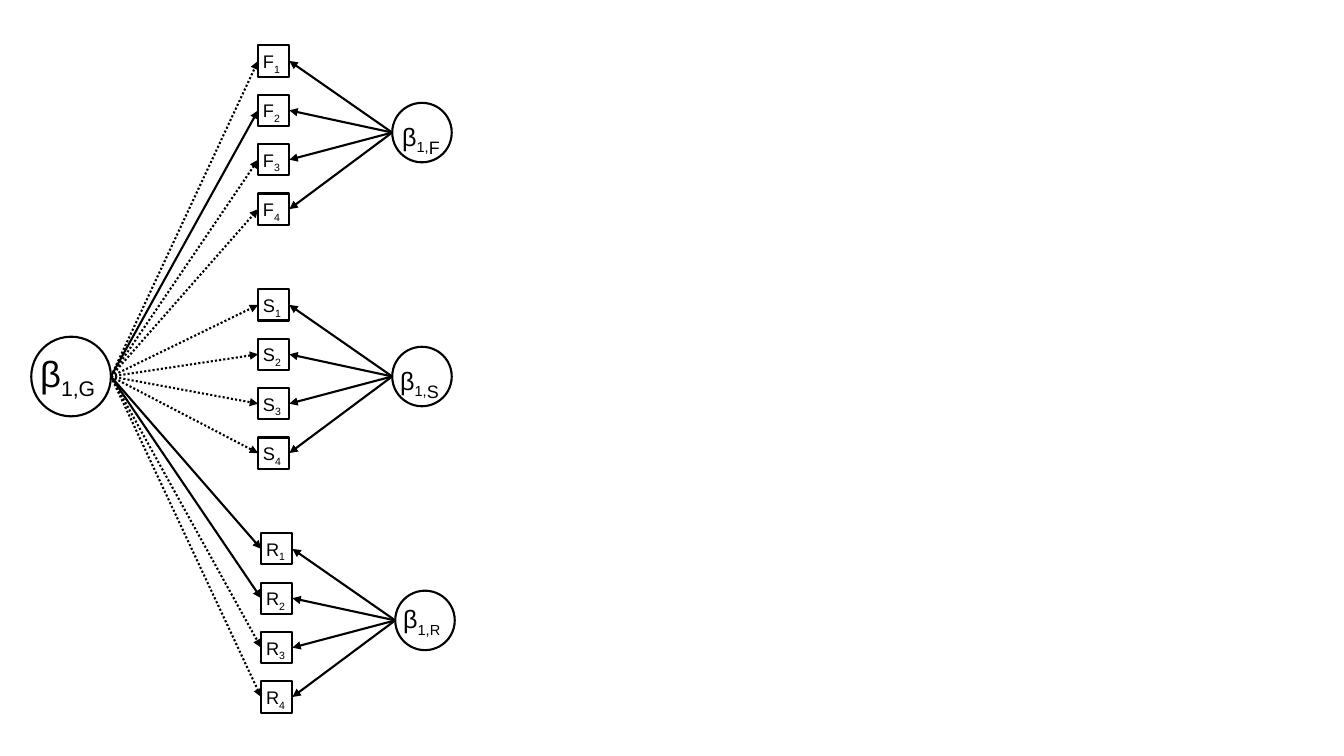
from collections import namedtuple
from dataclasses import dataclass

from lxml.etree import SubElement
from pptx import Presentation
from pptx.dml.color import RGBColor
from pptx.enum.dml import MSO_LINE as Dash
from pptx.enum.shapes import MSO_CONNECTOR as Connector, MSO_SHAPE as Shape
from pptx.enum.text import MSO_AUTO_SIZE as AutoSize
from pptx.oxml.ns import qn
from pptx.util import Inches, Pt


@dataclass(frozen=True)
class Theme:
    ink: RGBColor = RGBColor(0, 0, 0)
    paper: RGBColor = RGBColor(255, 255, 255)
    font: str = "Arial"
    stroke: float = 1.5
    item_size: int = 13
    factor_size: int = 18
    wide_size: int = 22
    general_size: int = 26


THEME = Theme()

# Grid in inches: three groups of four items, one factor beside each group
TOP, GROUP_STEP, ITEM_STEP, ITEMS = 0.45, 2.42, 0.49, 4
ITEM_LEFT, ITEM_SIDE = 2.56, 0.31
FACTOR_LEFT, FACTOR_DROP, FACTOR_SIDE = 3.89, 0.57, 0.59
GENERAL_LEFT, GENERAL_TOP, GENERAL_SIDE = 0.31, 3.34, 0.79

# solid: item numbers tied to the general factor by a solid arrow
Group = namedtuple("Group", "letter shift solid letter_size label_shift label_width")
GROUPS = [
    Group("F", 0, {2}, THEME.wide_size, 0, 0.6),
    Group("S", 0, set(), THEME.wide_size, -0.02, 0.62),
    Group("R", 0.03, {1, 2}, THEME.factor_size, -0.02, 0.6),
]


def item_spot(row, number):
    """Left and top of an item's square."""
    top = TOP + row * GROUP_STEP + (number - 1) * ITEM_STEP
    return ITEM_LEFT + GROUPS[row].shift, top


def factor_spot(row):
    """Left and top of a group factor's circle."""
    return FACTOR_LEFT + GROUPS[row].shift, TOP + row * GROUP_STEP + FACTOR_DROP


def add_node(page, kind, left, top, side):
    node = page.shapes.add_shape(kind, *map(Inches, (left, top, side, side)))
    node.shadow.inherit = False
    node.fill.solid()
    node.fill.fore_color.rgb = THEME.paper
    node.line.color.rgb = THEME.ink
    node.line.width = Pt(THEME.stroke)


def add_arrow(page, start, end, dotted=False):
    arrow = page.shapes.add_connector(Connector.STRAIGHT, *map(Inches, start + end))
    arrow.line.color.rgb = THEME.ink
    arrow.line.width = Pt(THEME.stroke)
    if dotted:
        arrow.line.dash_style = Dash.ROUND_DOT
    properties = arrow._element.spPr
    SubElement(properties.find(qn("a:ln")), qn("a:tailEnd"), type="triangle")
    SubElement(properties, qn("a:effectLst"))


def add_label(page, frame, symbol, size, subscripts, wrap=False):
    """Write a symbol followed by (text, size) subscripts."""
    box = page.shapes.add_textbox(*map(Inches, frame))
    settings = {"word_wrap": wrap, "auto_size": AutoSize.SHAPE_TO_FIT_TEXT}
    for name, value in settings.items():
        setattr(box.text_frame, name, value)
    para = box.text_frame.paragraphs[0]
    for position, (text, points) in enumerate([(symbol, size)] + subscripts):
        span = para.add_run()
        span.text = text
        for name, value in {"name": THEME.font, "size": Pt(points)}.items():
            setattr(span.font, name, value)
        span.font.color.rgb = THEME.ink
        if position:
            span._r.get_or_add_rPr().set("baseline", "-25000")


def add_nodes(page):
    add_node(page, Shape.OVAL, GENERAL_LEFT, GENERAL_TOP, GENERAL_SIDE)
    for row in range(len(GROUPS)):
        add_node(page, Shape.OVAL, *factor_spot(row), FACTOR_SIDE)
        for number in range(1, ITEMS + 1):
            add_node(page, Shape.RECTANGLE, *item_spot(row, number), ITEM_SIDE)


def add_arrows(page):
    general_edge = (GENERAL_LEFT + GENERAL_SIDE, GENERAL_TOP + GENERAL_SIDE / 2)
    for row, group in enumerate(GROUPS):
        factor_left, factor_top = factor_spot(row)
        factor_edge = (factor_left, factor_top + FACTOR_SIDE / 2)
        for number in range(1, ITEMS + 1):
            left, top = item_spot(row, number)
            middle = top + ITEM_SIDE / 2
            add_arrow(page, factor_edge, (left + ITEM_SIDE, middle))
            add_arrow(page, general_edge, (left, middle), number not in group.solid)


def add_labels(page):
    add_label(page, (0.3, 3.43, 0.84, 0.54), "β", THEME.general_size,
              [("1,G", THEME.general_size)], wrap=True)
    for row, group in enumerate(GROUPS):
        left, top = factor_spot(row)
        frame = (left + group.label_shift, top + 0.08, group.label_width, 0.4)
        add_label(page, frame, "β", THEME.factor_size,
                  [("1,", THEME.factor_size), (group.letter, group.letter_size)])
        for number in range(1, ITEMS + 1):
            left, top = item_spot(row, number)
            add_label(page, (left - 0.05, top, 0.42, 0.32), group.letter,
                      THEME.item_size, [(str(number), THEME.item_size)])


def main():
    deck = Presentation()
    deck.slide_width, deck.slide_height = Inches(13.33), Inches(7.5)
    page = deck.slides.add_slide(deck.slide_layouts[6])
    # Back to front: nodes, arrows, labels
    add_nodes(page)
    add_arrows(page)
    add_labels(page)
    deck.save("out.pptx")


if __name__ == "__main__":
    main()
